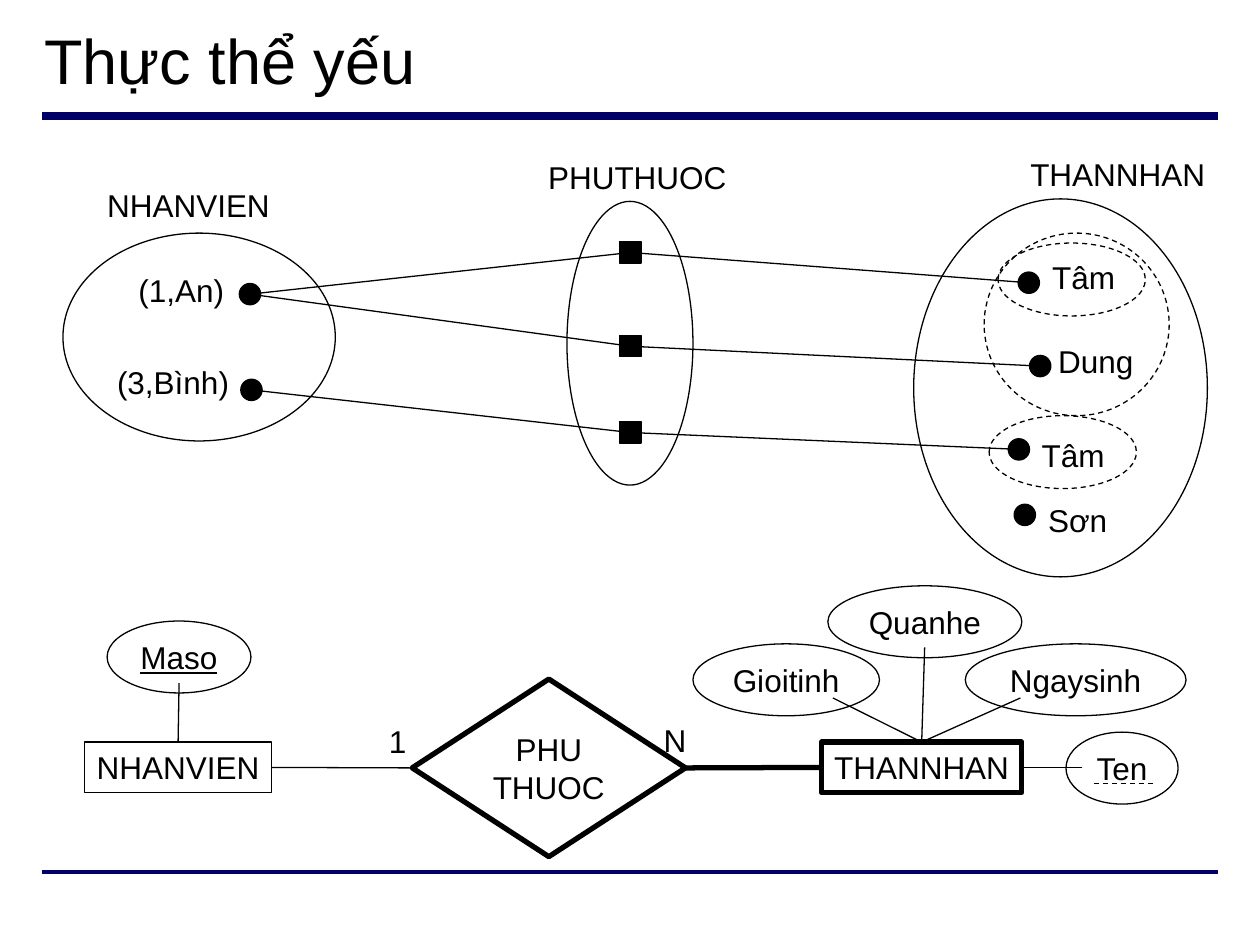
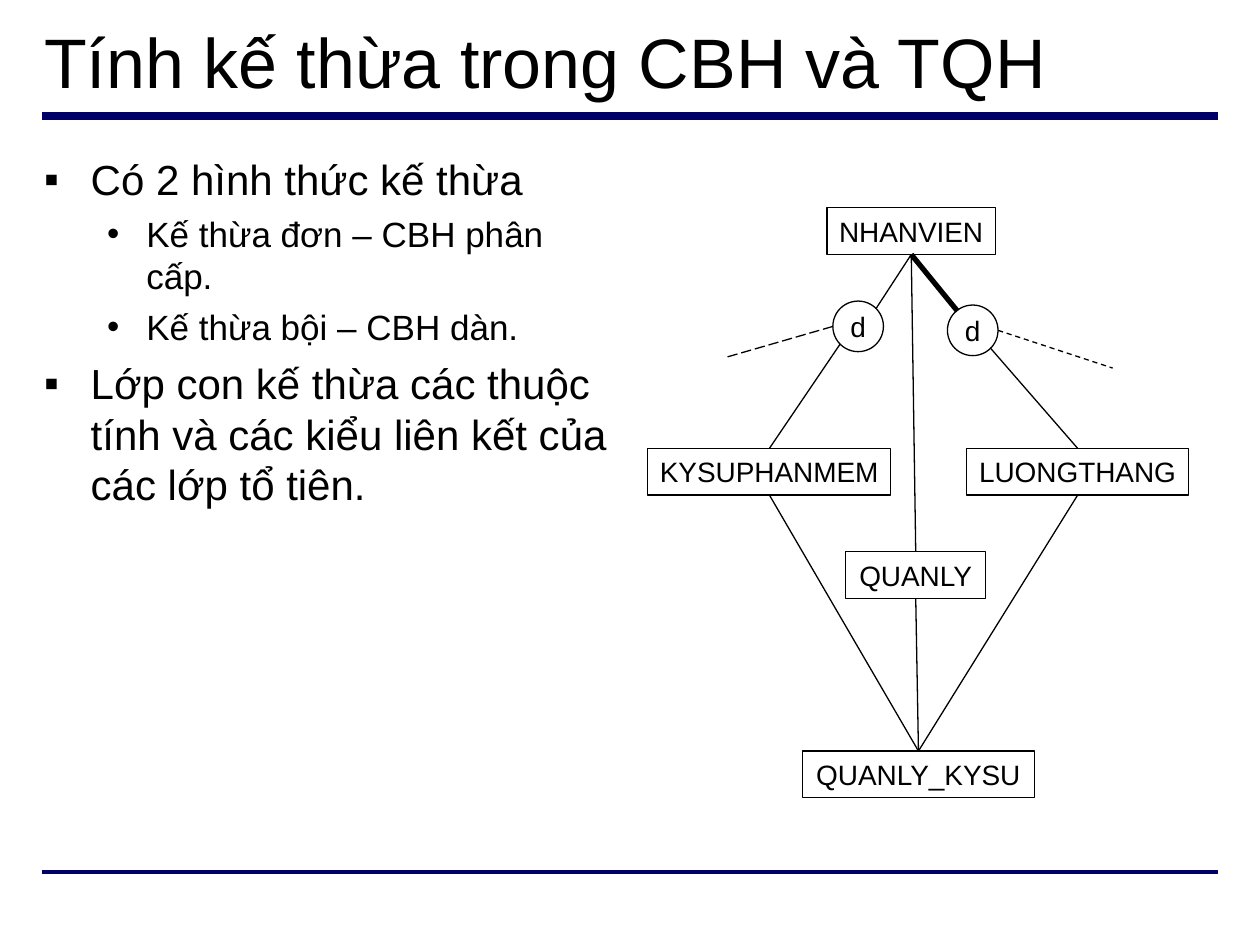
from dataclasses import dataclass

from lxml import etree
from pptx import Presentation
from pptx.dml.color import RGBColor
from pptx.enum.dml import MSO_LINE
from pptx.enum.shapes import MSO_CONNECTOR, MSO_SHAPE
from pptx.enum.text import MSO_ANCHOR, MSO_AUTO_SIZE, PP_ALIGN
from pptx.oxml.ns import qn
from pptx.util import Cm, Pt

RECT, OVAL, DIAMOND = MSO_SHAPE.RECTANGLE, MSO_SHAPE.OVAL, MSO_SHAPE.DIAMOND
STRAIGHT = MSO_CONNECTOR.STRAIGHT
DASH, LONG_DASH = MSO_LINE.DASH, MSO_LINE.LONG_DASH
MIDDLE, CENTER, LEFT = MSO_ANCHOR.MIDDLE, PP_ALIGN.CENTER, PP_ALIGN.LEFT
FIT_SHAPE, NO_FIT = MSO_AUTO_SIZE.SHAPE_TO_FIT_TEXT, MSO_AUTO_SIZE.NONE
TOP_SIDE, LEFT_SIDE, BOTTOM_SIDE, RIGHT_SIDE = range(4)


@dataclass(frozen=True)
class Theme:
    ink: RGBColor = RGBColor(0, 0, 0)
    paper: RGBColor = RGBColor(0xFF, 0xFF, 0xFF)
    rule: RGBColor = RGBColor(0, 0, 0x66)
    font: str = "Arial"
    label: int = 18
    node: int = 16
    bullet: int = 24
    sub_bullet: int = 20
    thin: float = 0.75
    heavy: float = 3


THEME = Theme()


def write(tf, text, size, align=LEFT, **fmt):
    """Fill a text frame, one paragraph per line of text."""
    for i, row in enumerate(text.split("\n")):
        p = tf.paragraphs[0] if i == 0 else tf.add_paragraph()
        p.alignment = align
        r = p.add_run()
        r.text = row
        style(r.font, size, **fmt)


def style(font, size, **fmt):
    font.color.rgb = THEME.ink
    for name, value in {"name": THEME.font, "size": Pt(size), **fmt}.items():
        setattr(font, name, value)


class Region:
    """Places parts in centimetres from the top left corner of a box."""

    def __init__(self, s, left, top):
        self.shapes, self.left, self.top = s.shapes, left, top

    def point(self, x, y):
        return Cm(self.left + x), Cm(self.top + y)

    def text(self, text, x, y, w, h=1.02, size=THEME.label, wrap=False):
        sp = self.shapes.add_textbox(*self.point(x, y), Cm(w), Cm(h))
        tf = sp.text_frame
        tf.word_wrap, tf.vertical_anchor = wrap, MIDDLE
        tf.auto_size = NO_FIT if wrap else FIT_SHAPE
        write(tf, text, size)
        return sp

    def shape(self, kind, x, y, w, h, text="", size=THEME.label, fill=None,
              weight=THEME.thin, dash=None, **fmt):
        sp = self.shapes.add_shape(kind, *self.point(x, y), Cm(w), Cm(h))
        sp.shadow.inherit = False
        if fill is None:
            sp.fill.background()
        else:
            sp.fill.solid()
            sp.fill.fore_color.rgb = fill
        draw_line(sp.line, weight, dash)
        if text:
            tf = sp.text_frame
            tf.word_wrap, tf.vertical_anchor = False, MIDDLE
            write(tf, text, size, CENTER, **fmt)
        return sp

    def marker(self, kind, x, y, d=0.43):
        return self.shape(kind, x - d / 2, y - d / 2, d, d, fill=THEME.ink)

    def line(self, start, end, weight=THEME.thin, dash=None, color=THEME.ink):
        """Each end is a point (x, y) or a pair (shape, side)."""
        points = [(0, 0) if joined(e) else self.point(*e) for e in (start, end)]
        c = self.shapes.add_connector(STRAIGHT, *points[0], *points[1])
        for e, connect in ((start, c.begin_connect), (end, c.end_connect)):
            if joined(e):
                connect(*e)
        draw_line(c.line, weight, dash, color)
        etree.SubElement(c._element.spPr, qn("a:effectLst"))


def joined(end):
    return hasattr(end[0], "shape_id")


def draw_line(line, weight, dash=None, color=THEME.ink):
    line.color.rgb = color
    line.width = Pt(weight)
    if dash:
        line.dash_style = dash


def add_slide(prs, title, size, top, height):
    """Blank slide with the shared title style and the two rules."""
    s = prs.slides.add_slide(prs.slide_layouts[6])
    page = Region(s, 0, 0)
    for y, weight in ((2.34, 4.5), (17.58, 2.25)):
        page.line((0.84, y), (24.56, y), weight, color=THEME.rule)
    page.text(title, 0.64, top, 24.13, height, size, wrap=True)
    return s


def entity_sets(s, left, top):
    """Instances of both entity sets and the relationship between them."""
    g = Region(s, left, top)
    an, binh = (3.77, 2.93), (3.8, 4.86)
    tam_1, dung, tam_2, son = (19.47, 2.7), (19.7, 4.38), (19.27, 6.06), (19.39, 7.38)
    pairs = [(11.44, y) for y in (2.09, 3.98, 5.72)]

    # Links from employee through relationship to relative
    for employee, pair, relative in zip((an, an, binh), pairs, (tam_1, dung, tam_2)):
        g.line(employee, pair)
        g.line(pair, relative)

    # Set outlines and their names
    for box in ((0, 1.7, 5.49, 4.19), (10.16, 1.06, 2.54, 5.72), (17.15, 1.01, 5.92, 7.62)):
        g.shape(OVAL, *box)
    for name, x, y, w in (("NHANVIEN", 0.64, 0.63, 3.9), ("PHUTHUOC", 9.53, 0.05, 4.2),
                          ("THANNHAN", 19.25, 0, 4.1)):
        g.text(name, x, y, w)

    # Relatives grouped by employee
    for box in ((18.57, 1.7, 3.73, 3.68), (18.67, 5.38, 2.97, 1.47), (18.85, 1.9, 2.97, 1.47)):
        g.shape(OVAL, *box, dash=DASH)

    # Members
    for pair in pairs:
        g.marker(RECT, *pair)
    members = (("(1,An)", an, 1.27, 2.33, 2.24), ("(3,Bình)", binh, 0.84, 4.19, 2.77),
               ("Tâm", tam_1, 19.69, 2.08, 1.78), ("Dung", dung, 19.81, 3.76, 2.03),
               ("Tâm", tam_2, 19.48, 5.66, 1.78), ("Sơn", son, 19.61, 6.98, 1.7))
    for name, dot, x, y, w in members:
        g.marker(OVAL, *dot)
        g.text(name, x, y, w)


def er_diagram(s, left, top):
    """Weak entity with its owner, relationship and attributes."""
    g = Region(s, left, top)

    # Entities and identifying relationship
    owner = g.shape(RECT, 0, 3.15, 3.78, 1.02, "NHANVIEN", fill=THEME.paper)
    depends = g.shape(DIAMOND, 6.61, 1.88, 5.51, 3.58, "PHU\nTHUOC", weight=THEME.heavy)
    weak = g.shape(RECT, 14.86, 3.15, 4.04, 1.02, "THANNHAN", fill=THEME.paper,
                   weight=THEME.heavy)
    g.line((owner, RIGHT_SIDE), (depends, LEFT_SIDE))
    g.line((depends, RIGHT_SIDE), (weak, LEFT_SIDE), THEME.heavy)

    # Attributes: name, oval, line start, entity and side, underline
    attributes = (("Maso", 0.46, 0.71, 2.9, (1.91, 1.96), (owner, TOP_SIDE), True),
                  ("Ngaysinh", 17.76, 1.17, 4.45, (18.87, 2.26), (weak, TOP_SIDE), False),
                  ("Quanhe", 14.99, 0, 3.91, (16.94, 1.24), (weak, TOP_SIDE), False),
                  ("Gioitinh", 12.27, 1.17, 3.76, (15.09, 2.26), (weak, TOP_SIDE), False),
                  ("Ten", 19.79, 2.95, 2.26, (20.12, 3.66), (weak, RIGHT_SIDE), False))
    for name, x, y, w, start, side, key in attributes:
        g.shape(OVAL, x, y, w, 1.45, name, fill=THEME.paper, underline=key)
        g.line(start, side)

    # Partial key mark under Ten
    g.line((20.35, 3.99), (21.54, 3.99), dash=DASH)

    # Cardinalities
    g.text("1", 5.89, 2.62, 0.86)
    g.text("N", 11.43, 2.59, 0.97)


def bullet_list(s, left, top, width, height, items):
    levels = (dict(char="▪", size=THEME.bullet, margin=0.94, hang=0.94, before=6),
              dict(char="•", size=THEME.sub_bullet, margin=2.06, hang=0.79, before=5))
    tf = s.shapes.add_textbox(Cm(left), Cm(top), Cm(width), Cm(height)).text_frame
    tf.word_wrap = True
    for i, (level, text) in enumerate(items):
        look = levels[level]
        p = tf.paragraphs[0] if i == 0 else tf.add_paragraph()
        p.level = level
        pPr = p._p.get_or_add_pPr()
        pPr.set("marL", str(Cm(look["margin"])))
        pPr.set("indent", str(-Cm(look["hang"])))
        color = etree.SubElement(pPr, qn("a:buClr"))
        etree.SubElement(color, qn("a:srgbClr"), val=str(THEME.ink))
        etree.SubElement(pPr, qn("a:buFont"), typeface=THEME.font)
        etree.SubElement(pPr, qn("a:buChar"), char=look["char"])
        if i:
            p.space_before = Pt(look["before"])
        r = p.add_run()
        r.text = text
        style(r.font, look["size"])


def class_lattice(s, left, top):
    """Shared subclass reached through three superclasses."""
    g = Region(s, left, top)

    def node(name, x, y, w):
        return g.shape(RECT, x, y, w, 0.94, name, THEME.node)

    # Classes
    staff = node("NHANVIEN", 3.61, 0, 3.4)
    engineer = node("KYSUPHANMEM", 0, 4.85, 4.9)
    salaried = node("LUONGTHANG", 6.43, 4.85, 4.47)
    manager = node("QUANLY", 3.99, 6.93, 2.82)
    shared = node("QUANLY_KYSU", 3.12, 10.95, 4.67)

    # Disjointness circles
    for x, y in ((3.73, 1.88), (6.04, 1.96)):
        g.shape(OVAL, x, y, 1.02, 1.02, "d", THEME.node)

    # Specialisation lines
    g.line((staff, BOTTOM_SIDE), (4.6, 2.03))
    g.line((3.88, 2.74), (engineer, TOP_SIDE))
    g.line((staff, BOTTOM_SIDE), (6.24, 2.08), THEME.heavy)
    g.line((6.9, 2.82), (salaried, TOP_SIDE))
    g.line((staff, BOTTOM_SIDE), (manager, TOP_SIDE))
    for parent in (engineer, manager, salaried):
        g.line((parent, BOTTOM_SIDE), (shared, TOP_SIDE))

    # Further subclasses
    g.line((3.73, 2.39), (1.55, 3.02), dash=LONG_DASH)
    g.line((7.06, 2.47), (9.37, 3.23), dash=DASH)


def main():
    prs = Presentation()
    prs.slide_width, prs.slide_height = Cm(25.4), Cm(19.05)

    s = add_slide(prs, "Thực thể yếu", 36, 0.3, 1.78)
    entity_sets(s, 1.27, 3)
    er_diagram(s, 1.7, 11.81)

    s = add_slide(prs, "Tính kế thừa trong CBH và TQH", 40, 0.23, 1.96)
    bullet_list(s, 0.64, 2.97, 11.86, 14.07, (
        (0, "Có 2 hình thức kế thừa"),
        (1, "Kế thừa đơn – CBH phân cấp."),
        (1, "Kế thừa bội – CBH dàn."),
        (0, "Lớp con kế thừa các thuộc tính và các kiểu liên kết của các lớp tổ tiên."),
    ))
    class_lattice(s, 13.06, 4.19)

    prs.save("out.pptx")


if __name__ == "__main__":
    main()
